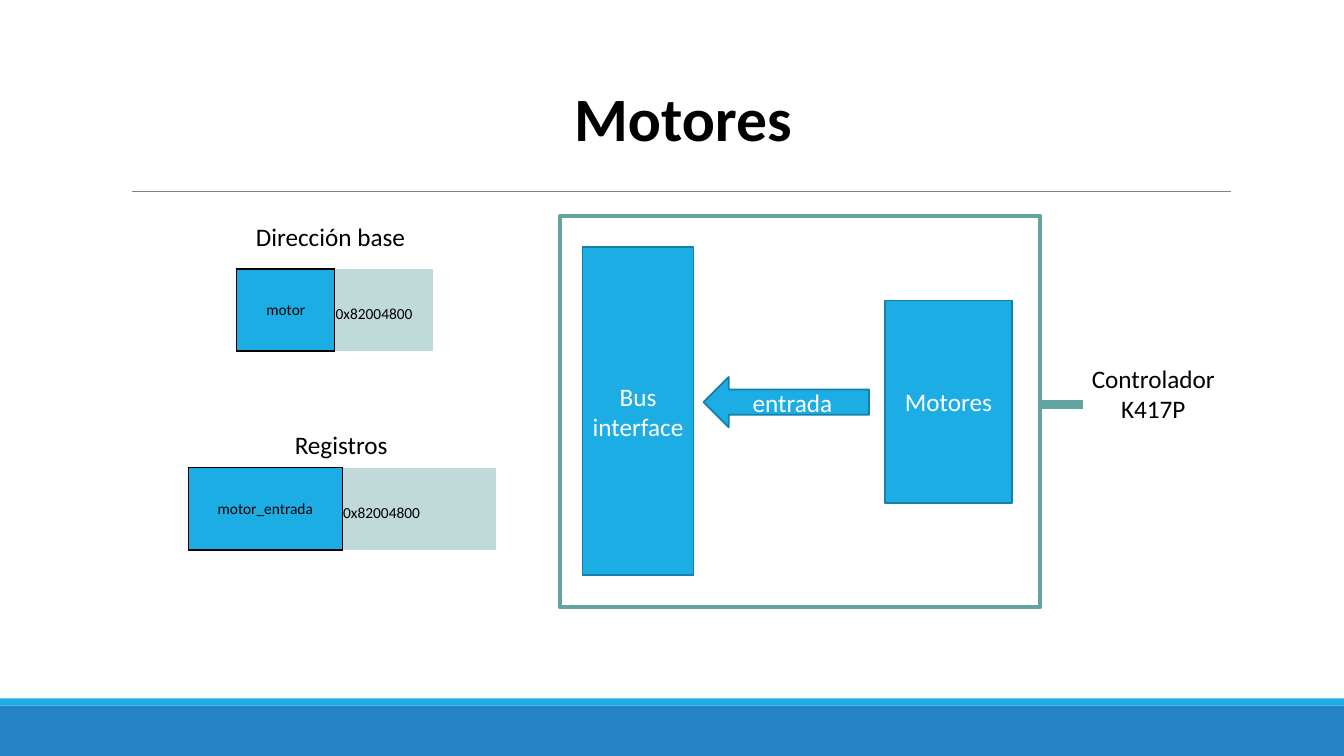
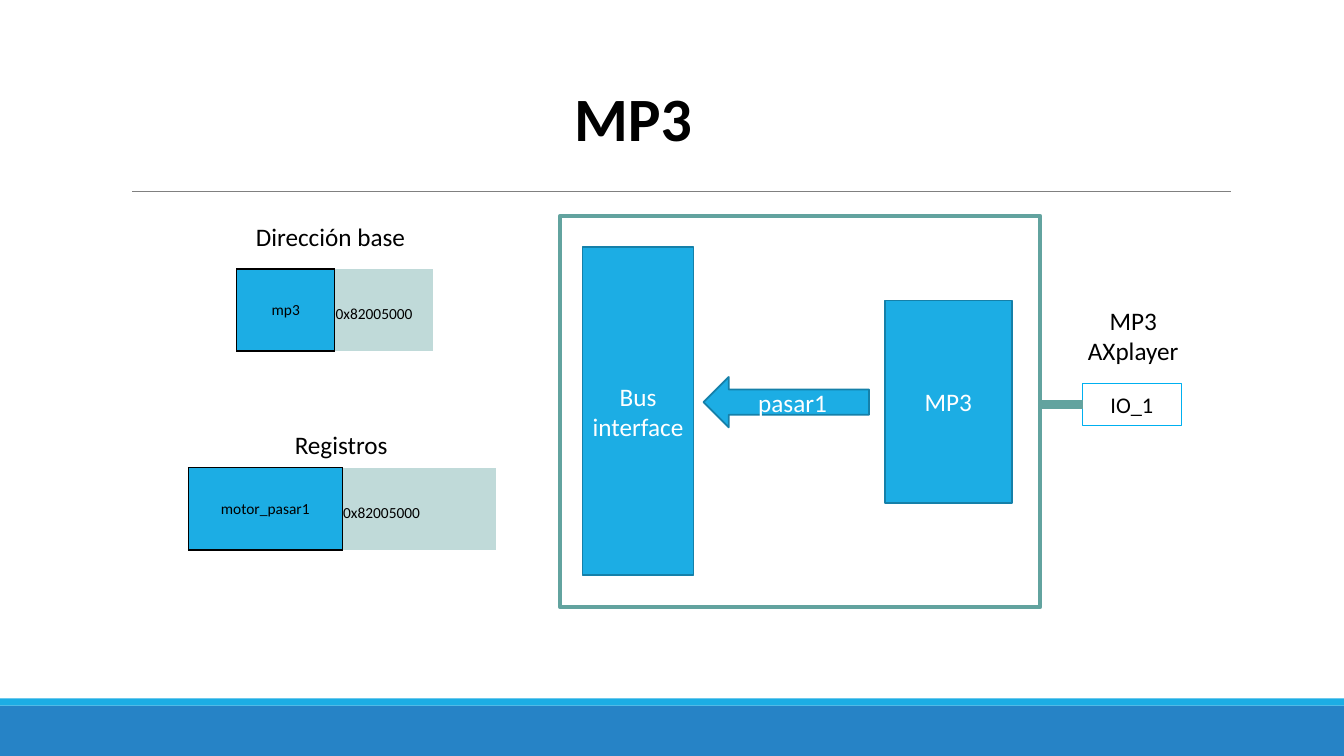
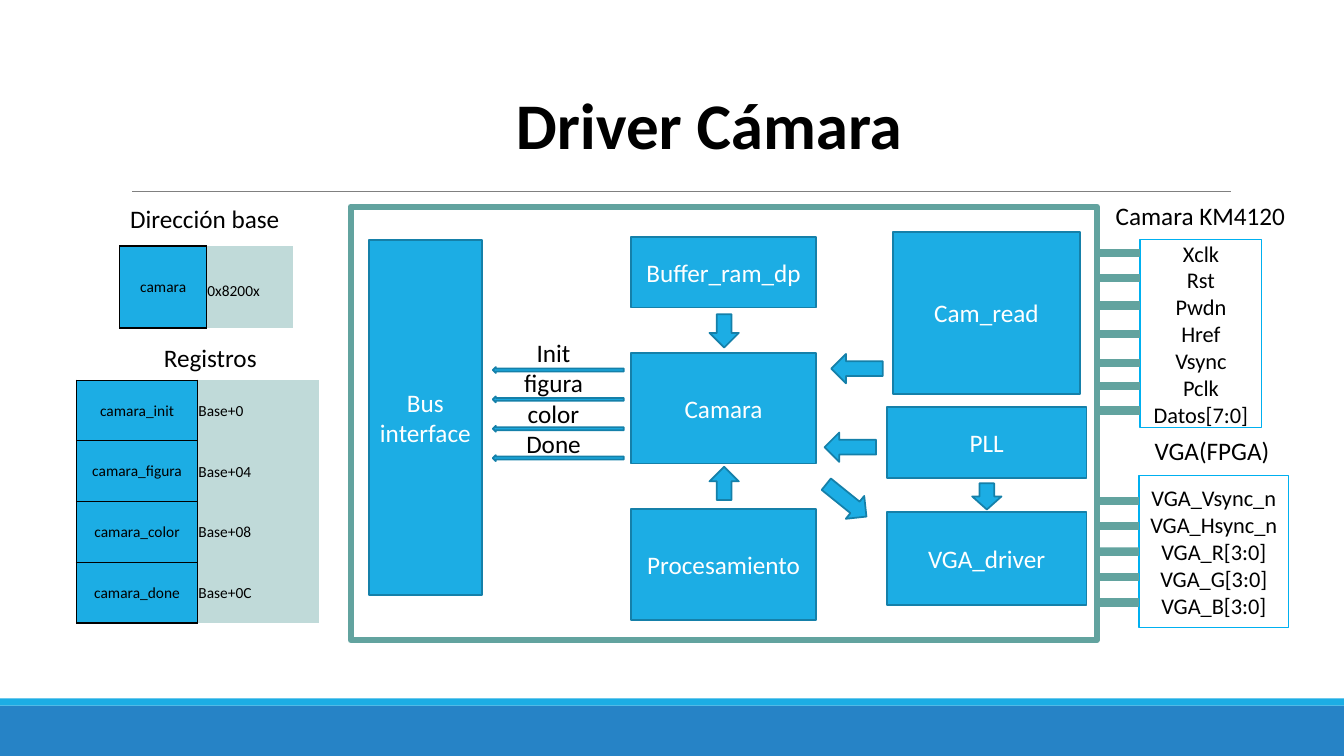
import lxml.etree
import pptx
import pptx.dml.color
import pptx.enum.shapes
import pptx.enum.text
import pptx.oxml.ns
import pptx.util

Cm = pptx.util.Cm
Pt = pptx.util.Pt
Shape = pptx.enum.shapes.MSO_SHAPE
Align = pptx.enum.text.PP_ALIGN
Anchor = pptx.enum.text.MSO_ANCHOR
qn = pptx.oxml.ns.qn

WIDTH, HEIGHT = 33.87, 19.05
CYAN, BLUE, EDGE = "1CADE4", "2683C6", "1580A9"
TEAL, PALE, PANEL = "62A39F", "C0DAD9", "00B0F0"
BLACK, WHITE, GRAY = "000000", "FFFFFF", "808080"
NO_STYLE = "{2D5ABB26-0587-4C30-8999-92F81FD0307C}"


def color(value):
    return pptx.dml.color.RGBColor.from_string(value)


class Deck:
    font = "Calibri"

    def __init__(self):
        self.presentation = pptx.Presentation()
        self.presentation.slide_width = Cm(WIDTH)
        self.presentation.slide_height = Cm(HEIGHT)
        self.slide = None

    def new_slide(self):
        layout = self.presentation.slide_layouts[6]
        self.slide = self.presentation.slides.add_slide(layout)
        self.shape((0, 17.78, WIDTH, 1.27), fill=BLUE)
        self.shape((0, 17.6, WIDTH, 0.18), fill=CYAN)
        self.line((3.33, 4.83), (31.01, 4.83), GRAY, 0.5)

    def add_text(self, frame, lines, size=18, ink=BLACK, align=Align.CENTER,
                 bold=False, spacing=None):
        for index, line in enumerate(lines):
            paragraph = frame.add_paragraph() if index else frame.paragraphs[0]
            paragraph.alignment = align
            if spacing:
                paragraph.line_spacing = spacing
            run = paragraph.add_run()
            run.text = line
            run.font.name = self.font
            run.font.size = Pt(size)
            run.font.bold = bold
            run.font.color.rgb = color(ink)

    def shape(self, box, kind=Shape.RECTANGLE, fill=None, edge=None, weight=1):
        shape = self.slide.shapes.add_shape(kind, *map(Cm, box))
        shape.shadow.inherit = False
        if fill:
            shape.fill.solid()
            shape.fill.fore_color.rgb = color(fill)
        else:
            shape.fill.background()
        if edge:
            shape.line.color.rgb = color(edge)
            shape.line.width = Pt(weight)
        else:
            shape.line.fill.background()
        frame = shape.text_frame
        frame.word_wrap = True
        frame.vertical_anchor = Anchor.MIDDLE
        frame.margin_left = frame.margin_right = Cm(0.2)
        return shape

    def block(self, box, text="", kind=Shape.RECTANGLE, rotation=0):
        shape = self.shape(box, kind, CYAN, EDGE, 1.25)
        shape.rotation = rotation
        if text:
            self.add_text(shape.text_frame, [text], ink=WHITE)

    def panel(self, box, lines):
        shape = self.shape(box, edge=PANEL)
        self.add_text(shape.text_frame, lines, size=16)
        return shape

    def line(self, start, end, ink, weight):
        connector = self.slide.shapes.add_connector(
            pptx.enum.shapes.MSO_CONNECTOR.STRAIGHT, *map(Cm, start + end))
        connector.line.color.rgb = color(ink)
        connector.line.width = Pt(weight)
        properties = connector._element.spPr
        lxml.etree.SubElement(properties, qn("a:effectLst"))
        return connector

    def pins(self, left, right, heights, panel=None):
        for y in heights:
            pin = self.line((left, y), (right, y), TEAL, 6)
            if panel is not None:
                middle = panel.top + panel.height // 2
                if abs(Cm(y) - middle) < Cm(0.02):
                    pin.end_connect(panel, 1)

    def text_box(self, box, anchor):
        frame = self.slide.shapes.add_textbox(*map(Cm, box)).text_frame
        frame.word_wrap = True
        frame.vertical_anchor = anchor
        return frame

    def title(self, box, text, size=44, align=Align.LEFT,
              anchor=Anchor.MIDDLE, spacing=0.9):
        frame = self.text_box(box, anchor)
        self.add_text(frame, [text], size, BLACK, align, True, spacing)

    def label(self, box, lines, align=Align.CENTER):
        frame = self.text_box(box, Anchor.TOP)
        frame.margin_left = frame.margin_right = 0
        self.add_text(frame, lines, align=align)

    def border(self, cell):
        properties = cell._tc.get_or_add_tcPr()
        for side in ("a:lnL", "a:lnR", "a:lnT", "a:lnB"):
            line = lxml.etree.SubElement(properties, qn(side), w=str(Pt(1)))
            fill = lxml.etree.SubElement(line, qn("a:solidFill"))
            lxml.etree.SubElement(fill, qn("a:srgbClr"), val=BLACK)

    def registers(self, left, top, width, row_height, entries):
        rows = 3 * len(entries)
        table = self.slide.shapes.add_table(
            rows, 2, Cm(left), Cm(top), Cm(width), Cm(row_height * rows)).table
        table.first_row = table.horz_banding = False
        table._tbl.tblPr.find(qn("a:tableStyleId")).text = NO_STYLE
        for row in table.rows:
            row.height = Cm(row_height)
        for index, (name, address) in enumerate(entries):
            first = 3 * index
            head = table.cell(first, 0)
            head.merge(table.cell(first + 2, 0))
            self.border(head)
            self.add_text(head.text_frame, [name], 11)
            self.add_text(table.cell(first + 1, 1).text_frame, [address], 11,
                          align=Align.LEFT)
        for cell in table.iter_cells():
            cell.margin_left = cell.margin_right = cell.margin_top = Cm(0.02)
            cell.margin_bottom = 0
            cell.vertical_anchor = (Anchor.MIDDLE if cell.is_merge_origin
                                    else Anchor.BOTTOM)
            cell.fill.solid()
            cell.fill.fore_color.rgb = color(
                CYAN if cell.is_merge_origin or cell.is_spanned else PALE)
            if not cell.text_frame.text:
                paragraph = cell.text_frame.paragraphs[0]
                lxml.etree.SubElement(
                    paragraph._p, qn("a:endParaRPr"), sz="1100")


def peripheral_slide(deck, name, base, register, address, signal):
    deck.new_slide()
    deck.title((14.22, 0.71, 6.81, 4.72), name)
    deck.shape((14.12, 5.44, 12.09, 9.86), edge=TEAL, weight=3)
    deck.block((14.68, 6.22, 2.8, 8.28), "Bus interface")
    deck.block((17.73, 9.5, 4.17, 1.27), signal, Shape.LEFT_ARROW)
    deck.block((22.3, 7.57, 3.2, 5.11), name)
    deck.label((6.45, 5.44, 4.2, 1.02), ["Dirección base"], Align.LEFT)
    deck.registers(5.97, 6.78, 4.93, 0.69, [(base, address)])
    deck.label((6.25, 10.69, 4.7, 1.02), ["Registros"])
    deck.registers(4.75, 11.79, 7.75, 0.69, [(register, address)])


def motor_slide(deck):
    peripheral_slide(deck, "Motores", "motor", "motor_entrada",
                     "0x82004800", "entrada")
    deck.pins(26.21, 27.28, [10.19])
    deck.label((27.25, 9.02, 3.63, 1.8), ["Controlador", "K417P"])


def mp3_slide(deck):
    peripheral_slide(deck, "MP3", "mp3", "motor_pasar1",
                     "0x82005000", "pasar1")
    port = deck.panel((27.28, 9.66, 2.49, 1.06), ["IO_1"])
    deck.pins(26.21, 27.28, [10.19], port)
    deck.label((27.15, 7.57, 2.82, 1.8), ["MP3", "AXplayer"])


def camera_slide(deck):
    deck.new_slide()
    deck.title((11.86, 1.85, 12.01, 2.31), "Driver Cámara", 46.5,
               Align.CENTER, Anchor.BOTTOM, 0.7)
    deck.shape((8.84, 5.21, 18.8, 10.92), edge=TEAL, weight=4.5)

    for name, box in (
        ("Bus interface", (9.3, 6.05, 2.84, 8.94)),
        ("Buffer_ram_dp", (15.9, 5.97, 4.67, 1.78)),
        ("Camara", (15.9, 8.89, 4.67, 2.79)),
        ("Procesamiento", (15.9, 12.83, 4.67, 2.79)),
        ("Cam_read", (22.5, 5.84, 4.72, 4.09)),
        ("PLL", (22.35, 10.26, 5.03, 1.78)),
        ("VGA_driver", (22.35, 12.9, 5.03, 2.34)),
    ):
        deck.block(box, name)

    for kind, box, rotation in (
        (Shape.DOWN_ARROW, (17.88, 7.92, 0.74, 0.84), 0),
        (Shape.UP_ARROW, (17.88, 11.76, 0.74, 0.84), 0),
        (Shape.DOWN_ARROW, (24.5, 12.18, 0.74, 0.66), 0),
        (Shape.LEFT_ARROW, (20.95, 8.92, 1.3, 0.74), 0),
        (Shape.LEFT_ARROW, (20.78, 10.9, 1.3, 0.74), 0),
        (Shape.RIGHT_ARROW, (20.68, 12.24, 1.3, 0.74), 38.9),
    ):
        deck.block(box, kind=kind, rotation=rotation)

    signals = ["Init", "figura", "color", "Done"]
    for index in range(len(signals)):
        deck.block((12.42, 9.25 + 0.74 * index, 3.3, 0.15),
                   kind=Shape.LEFT_ARROW)
    deck.label((12.95, 8.38, 2, 3.33), signals)

    deck.label((27.89, 4.93, 4.72, 1.02), ["Camara KM4120"])
    camera = deck.panel(
        (28.73, 6.04, 3.07, 4.74),
        ["Xclk", "Rst", "Pwdn", "Href", "Vsync", "Pclk", "Datos[7:0]"])
    deck.pins(27.64, 28.73, [6.38, 7.01, 7.7, 8.41, 9.14, 9.73, 10.34], camera)

    deck.label((28.83, 10.85, 3.43, 1.02), ["VGA(FPGA)"])
    outputs = ["VGA_Vsync_n", "VGA_Hsync_n", "VGA_R[3:0]", "VGA_G[3:0]",
               "VGA_B[3:0]"]
    vga = deck.panel((28.7, 11.99, 3.78, 3.82), outputs)
    deck.pins(27.64, 28.7,
              [12.62 + 0.64 * index for index in range(len(outputs))], vga)

    deck.label((3.28, 5, 4.2, 1.02), ["Dirección base"], Align.LEFT)
    deck.registers(3.02, 6.2, 4.37, 0.69, [("camara", "0x8200x")])
    deck.label((2.95, 8.51, 4.7, 1.02), ["Registros"])
    deck.registers(1.93, 9.58, 6.1, 0.51, [
        ("camara_init", "Base+0"),
        ("camara_figura", "Base+04"),
        ("camara_color", "Base+08"),
    ])
    deck.registers(1.93, 14.17, 6.1, 0.51, [("camara_done", "Base+0C")])


def main():
    deck = Deck()
    motor_slide(deck)
    mp3_slide(deck)
    camera_slide(deck)
    deck.presentation.save("out.pptx")


if __name__ == "__main__":
    main()
